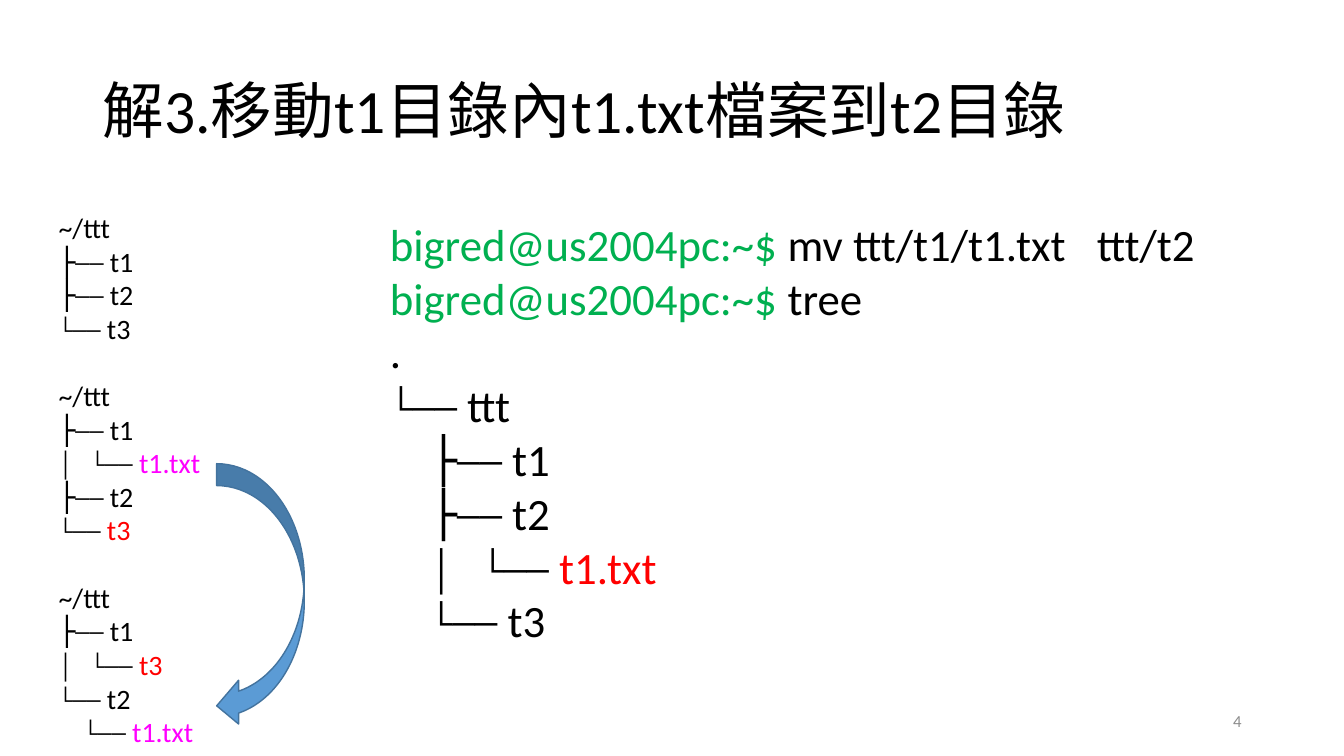
from dataclasses import dataclass

import pptx
import pptx.dml.color
import pptx.enum.shapes
import pptx.enum.text
import pptx.oxml.ns
import pptx.util
from lxml import etree

Pt = pptx.util.Pt
Align = pptx.enum.text.PP_ALIGN
Anchor = pptx.enum.text.MSO_ANCHOR
Shape = pptx.enum.shapes.MSO_SHAPE

COLORS = {
    "text": "000000",
    "paper": "FFFFFF",
    "prompt": "00B050",
    "moved": "FF00FF",
    "marked": "FF0000",
    "arrow": "5B9BD5",
    "arrow_edge": "43739E",
    "number": "8C8C8C",
}
FONT = "Calibri"
TREE_SIZE = 20
SHELL_SIZE = 32
INDENT = 0.9  # width of one tree level, in ems
BRANCH = 1.15  # from a vertical bar to the branch beside it, in ems
PROMPT = ("bigred@us2004pc:~$ ", "prompt")


@dataclass(frozen=True)
class Line:
    """One paragraph: (text, colour) runs, tab stops in ems, space before in points."""
    runs: tuple[tuple[str, str], ...]
    stops: tuple[float, ...] = ()
    before: float = 0


@dataclass(frozen=True)
class Box:
    left: float
    top: float
    width: float
    height: float

    def lengths(self) -> tuple:
        return Pt(self.left), Pt(self.top), Pt(self.width), Pt(self.height)


def plain(text: str, *stops: float, before: float = 0) -> Line:
    return Line(((text, "text"),), stops, before)


def leaf(branch: str, name: str, color: str, *stops: float) -> Line:
    return Line(((branch, "text"), (name, color)), stops)


TREES = [
    plain("~/ttt"),
    plain("├── t1"),
    plain("├── t2"),
    plain("└── t3"),
    plain("~/ttt", before=24),
    plain("├── t1"),
    leaf("│\t└── ", "t1.txt", "moved", BRANCH),
    plain("├── t2"),
    leaf("└── ", "t3", "marked"),
    plain("~/ttt", before=24),
    plain("├── t1"),
    leaf("│\t└── ", "t3", "marked", BRANCH),
    plain("└── t2"),
    leaf("\t└── ", "t1.txt", "moved", INDENT),
]
SHELL = [
    Line((PROMPT, ("mv ttt/t1/t1.txt\tttt/t2", "text")), (15.78,)),
    Line((PROMPT, ("tree", "text"))),
    plain("."),
    plain("└── ttt"),
    plain("\t├── t1", INDENT),
    plain("\t├── t2", INDENT),
    leaf("\t│\t└── ", "t1.txt", "marked", INDENT, INDENT + BRANCH),
    plain("\t└── t3", INDENT),
]


def rgb(name: str) -> pptx.dml.color.RGBColor:
    return pptx.dml.color.RGBColor.from_string(COLORS[name])


def set_stops(paragraph, stops: tuple[float, ...], size: float) -> None:
    qn = pptx.oxml.ns.qn
    tab_list = etree.SubElement(paragraph._p.get_or_add_pPr(), qn("a:tabLst"))
    for stop in stops:
        etree.SubElement(tab_list, qn("a:tab"), pos=str(int(Pt(stop * size))), algn="l")


def write(shape, lines: list[Line], *, size: float, align=Align.LEFT,
          anchor=Anchor.TOP, spacing: float = 1.0, inset: float | None = None) -> None:
    frame = shape.text_frame
    frame.word_wrap = True
    frame.auto_size = pptx.enum.text.MSO_AUTO_SIZE.NONE
    frame.vertical_anchor = anchor
    if inset is not None:
        frame.margin_left = frame.margin_right = Pt(inset)
        frame.margin_top = frame.margin_bottom = Pt(inset)
    for index, line in enumerate(lines):
        paragraph = frame.add_paragraph() if index else frame.paragraphs[0]
        paragraph.alignment = align
        paragraph.line_spacing = spacing
        paragraph.space_before = Pt(line.before)
        if line.stops:
            set_stops(paragraph, line.stops, size)
        for text, color in line.runs:
            run = paragraph.add_run()
            run.text = text
            run.font.name = FONT
            run.font.size = Pt(size)
            run.font.color.rgb = rgb(color)


def add_figure(slide, kind, box: Box, *, fill: str, edge: str, edge_width: float):
    figure = slide.shapes.add_shape(kind, *box.lengths())
    figure.shadow.inherit = False
    figure.fill.solid()
    figure.fill.fore_color.rgb = rgb(fill)
    figure.line.color.rgb = rgb(edge)
    figure.line.width = Pt(edge_width)
    return figure


def main() -> None:
    deck = pptx.Presentation()
    deck.slide_width, deck.slide_height = Pt(960), Pt(540)
    slide = deck.slides.add_slide(deck.slide_layouts.get_by_name("Title Only"))

    title = slide.shapes.title
    title.left, title.top, title.width, title.height = Box(66, 28.8, 828, 104.4).lengths()
    write(title, [plain("解3.移動t1目錄內t1.txt檔案到t2目錄")],
          size=44, anchor=Anchor.MIDDLE, spacing=0.9)

    page_number = slide.shapes.add_textbox(*Box(678, 500.4, 216, 28.8).lengths())
    write(page_number, [Line((("4", "number"),))],
          size=12, align=Align.RIGHT, anchor=Anchor.MIDDLE)

    trees = add_figure(slide, Shape.RECTANGLE, Box(38.2, 144.7, 385.2, 395.3),
                       fill="paper", edge="paper", edge_width=2)
    write(trees, TREES, size=TREE_SIZE, anchor=Anchor.MIDDLE, inset=3.6)

    add_figure(slide, Shape.CURVED_LEFT_ARROW, Box(154.8, 331.2, 62.6, 188.6),
               fill="arrow", edge="arrow_edge", edge_width=1)

    shell = slide.shapes.add_textbox(*Box(271.4, 151.2, 596.9, 356.4).lengths())
    write(shell, SHELL, size=SHELL_SIZE)

    deck.save("out.pptx")


if __name__ == "__main__":
    main()
